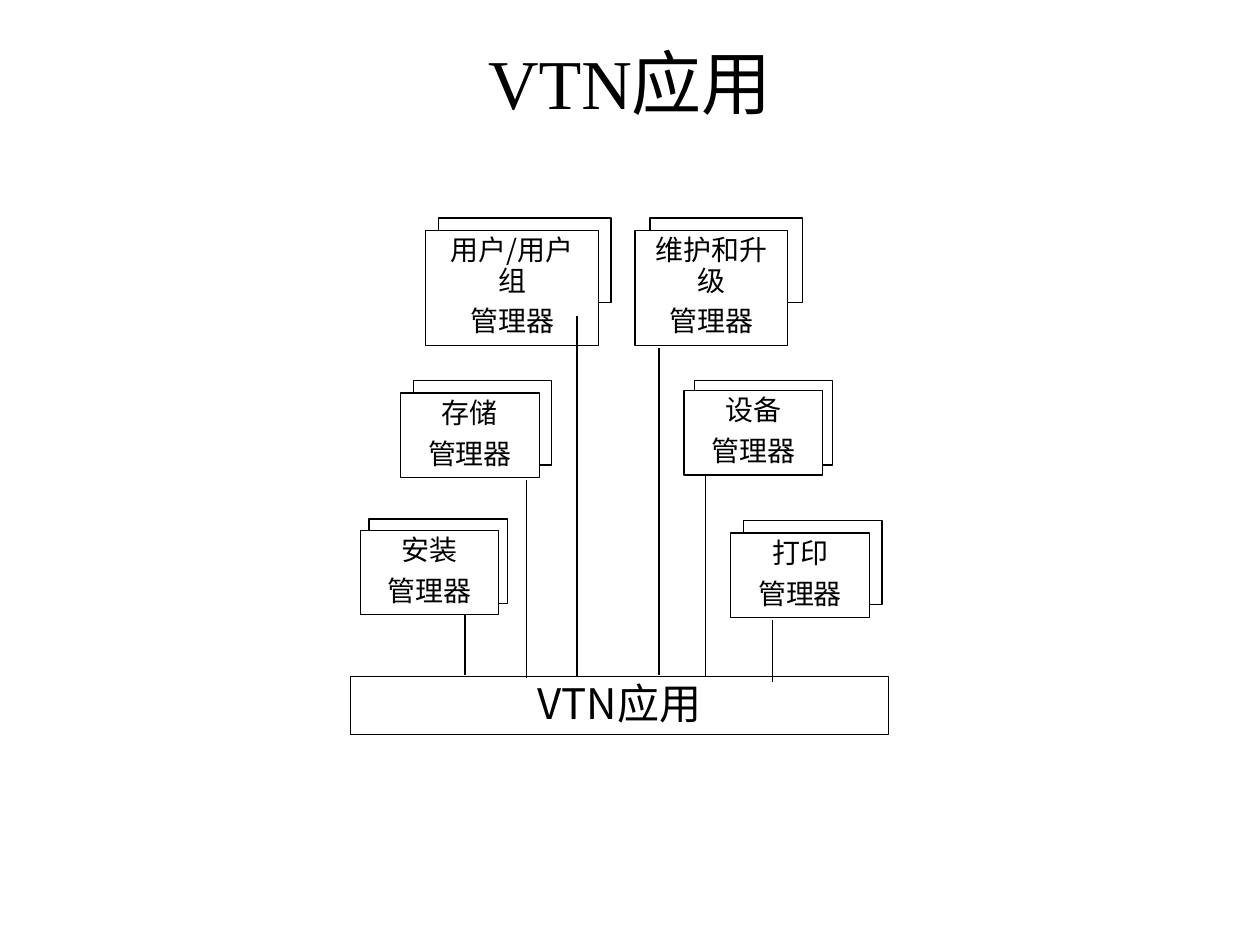
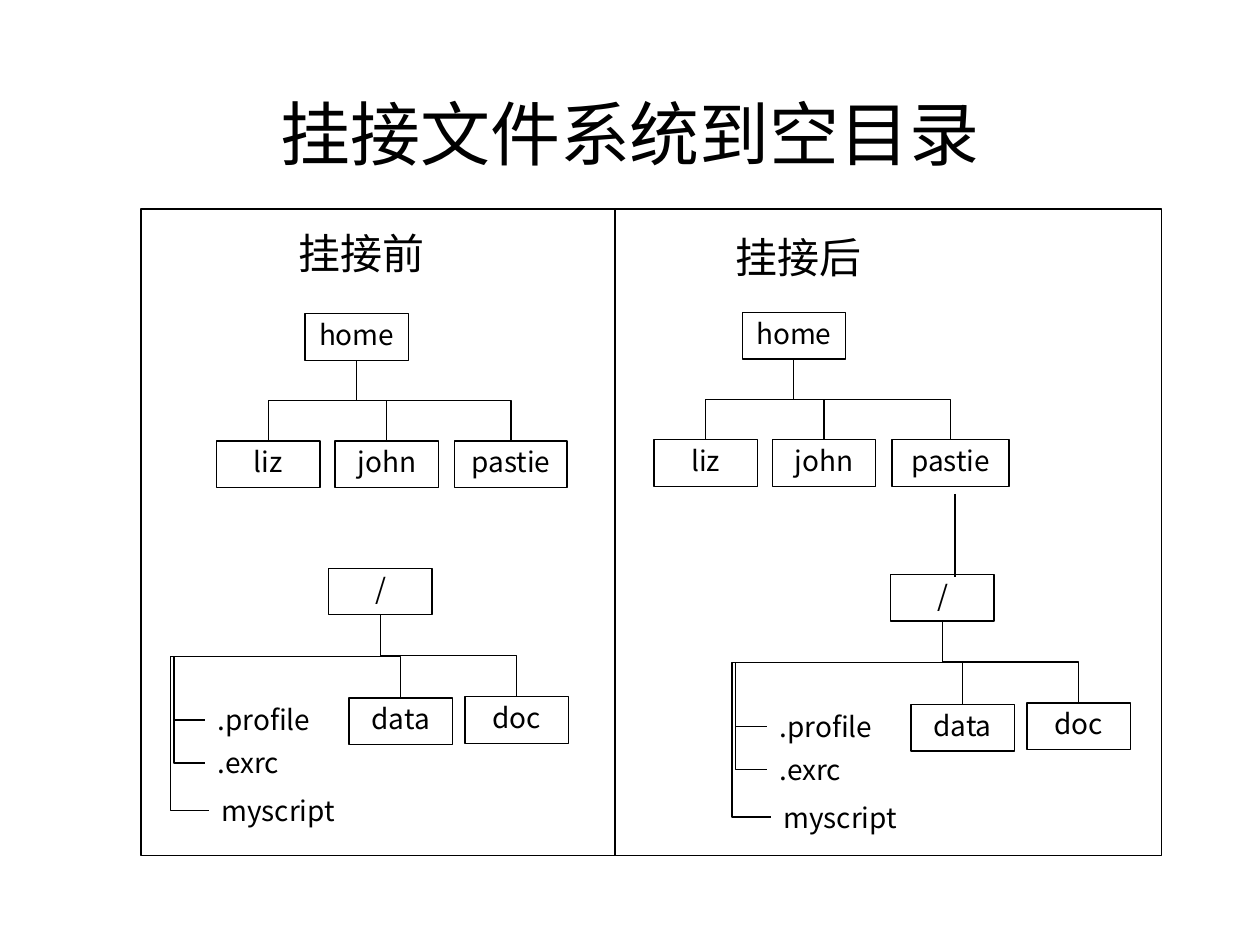
from dataclasses import dataclass

from lxml import etree
from pptx import Presentation
from pptx import util as u
from pptx.dml.color import RGBColor
from pptx.enum import shapes, text
from pptx.oxml.ns import qn

COLORS = {"ink": "000000", "paper": "FFFFFF"}
SANS = "Noto Sans CJK SC"
SERIF = "Times New Roman"
LINE_WIDTH = u.Pt(0.75)
TITLE_ONLY = 5
TOP, LEFT, BOTTOM = 0, 1, 2
NODE_HEIGHT = 0.37
LABEL_SIZE = (1.21, 0.33)
APPLICATIONS = "VTN应用"


@dataclass(frozen=True)
class Manager:
    name: str
    left: float
    top: float
    width: float
    height: float
    sheet_left: float
    sheet_top: float


@dataclass(frozen=True)
class Drop:
    x: float
    top: float
    bottom: float


@dataclass(frozen=True)
class Node:
    name: str
    dx: float
    dy: float
    width: float = 0.82


@dataclass(frozen=True)
class FileLabel:
    name: str
    dx: float
    dy: float
    overhang: float


@dataclass(frozen=True)
class Panel:
    heading: str
    heading_at: tuple[float, float]
    home_at: tuple[float, float]
    root_at: tuple[float, float]
    pastie_width: float


MANAGERS = [
    Manager("用户/用户组", 3.38, 1.83, 1.37, 0.91, 3.48, 1.73),
    Manager("维护和升级", 5.04, 1.83, 1.21, 0.91, 5.16, 1.73),
    Manager("存储", 3.18, 3.12, 1.1, 0.67, 3.28, 3.02),
    Manager("设备", 5.43, 3.1, 1.1, 0.67, 5.51, 3.02),
    Manager("安装", 2.86, 4.21, 1.1, 0.67, 2.93, 4.12),
    Manager("打印", 5.8, 4.23, 1.1, 0.67, 5.9, 4.13),
]
SHEET_HEIGHT = 0.67

DROPS = [
    Drop(3.69, 4.88, 5.36),
    Drop(4.18, 3.81, 5.38),
    Drop(4.58, 2.51, 5.37),
    Drop(5.23, 2.76, 5.36),
    Drop(5.6, 3.77, 5.37),
    Drop(6.13, 4.92, 5.41),
]

DIRECTORIES = [Node("data", 0.16, 1.03), Node("doc", 1.08, 1.02)]
FILES = [
    FileLabel(".profile", -0.98, 1.04, 0.25),
    FileLabel(".exrc", -0.98, 1.38, 0.25),
    FileLabel("myscript", -0.95, 1.76, 0.31),
]

PANELS = [
    Panel("挂接前", (1.98, 1.76), (1.72, 2.49), (2.61, 4.51), 0.89),
    Panel("挂接后", (5.45, 1.79), (5.19, 2.48), (7.07, 4.56), 0.93),
]


def color(name: str) -> RGBColor:
    return RGBColor.from_string(COLORS[name])


def write(shape, content: str, *, size: float = 16, font: str = SANS,
          align=text.PP_ALIGN.CENTER, anchor=text.MSO_ANCHOR.TOP,
          inset_top: float = 0.05, spacing: float | None = None,
          space_before: float = 0) -> None:
    frame = shape.text_frame
    frame.word_wrap = True
    frame.auto_size = text.MSO_AUTO_SIZE.NONE
    frame.vertical_anchor = anchor
    frame.margin_left = frame.margin_right = u.Inches(0.1)
    frame.margin_top = u.Inches(inset_top)
    frame.margin_bottom = u.Inches(0.05)
    for index, line in enumerate(content.split("\n")):
        paragraph = frame.add_paragraph() if index else frame.paragraphs[0]
        paragraph.alignment = align
        paragraph.line_spacing = spacing
        paragraph.space_before = u.Pt(space_before if index else 0)
        run = paragraph.add_run()
        run.text = line
        run.font.size = u.Pt(size)
        run.font.name = font
        run.font.color.rgb = color("ink")
        east_asian = etree.SubElement(run.font._element, qn("a:ea"))
        east_asian.set("typeface", SANS)


def add_title_slide(presentation, title: str, top: float, height: float):
    slide = presentation.slides.add_slide(presentation.slide_layouts[TITLE_ONLY])
    placeholder = slide.shapes.title
    placeholder.left, placeholder.top = u.Inches(0.75), u.Inches(top)
    placeholder.width, placeholder.height = u.Inches(8.5), u.Inches(height)
    write(placeholder, title, size=40, font=SERIF, anchor=text.MSO_ANCHOR.MIDDLE)
    return slide


def add_box(slide, left: float, top: float, width: float, height: float,
            fill: str | None = None):
    shape = slide.shapes.add_shape(
        shapes.MSO_SHAPE.RECTANGLE,
        u.Inches(left), u.Inches(top), u.Inches(width), u.Inches(height))
    shape.shadow.inherit = False
    shape.line.color.rgb = color("ink")
    shape.line.width = LINE_WIDTH
    if fill:
        shape.fill.solid()
        shape.fill.fore_color.rgb = color(fill)
    else:
        shape.fill.background()
    return shape


def add_label(slide, left: float, top: float, width: float, height: float):
    return slide.shapes.add_textbox(
        u.Inches(left), u.Inches(top), u.Inches(width), u.Inches(height))


def style_connector(connector) -> None:
    connector.line.color.rgb = color("ink")
    connector.line.width = LINE_WIDTH
    etree.SubElement(connector.element.spPr, qn("a:effectLst"))


def add_vertical(slide, x: float, top: float, bottom: float) -> None:
    connector = slide.shapes.add_connector(
        shapes.MSO_CONNECTOR.STRAIGHT,
        u.Inches(x), u.Inches(top), u.Inches(x), u.Inches(bottom))
    style_connector(connector)


def add_elbow(slide, parent, child, side: int, overhang: float = 0) -> None:
    connector = slide.shapes.add_connector(shapes.MSO_CONNECTOR.ELBOW, 0, 0, 0, 0)
    connector.begin_connect(parent, BOTTOM)
    connector.end_connect(child, side)
    start_x = parent.left + parent.width // 2
    start_y = parent.top + parent.height
    if side == TOP:
        end_x, end_y = child.left + child.width // 2, child.top
    else:
        end_x, end_y = child.left, child.top + child.height // 2
    span, fall = abs(end_x - start_x), end_y - start_y
    connector.width, connector.height = fall, span
    connector.left = (start_x + end_x - fall) // 2
    connector.top = (start_y + end_y - span) // 2
    goes_right = end_x > start_x
    connector.rotation = 270 if goes_right else 90
    transform = connector.element.spPr.find(qn("a:xfrm"))
    transform.set("flipH", "1" if goes_right else "0")
    transform.set("flipV", "0")
    if side == LEFT:
        geometry = connector.element.spPr.find(qn("a:prstGeom"))
        geometry.set("prst", "bentConnector4")
        adjustments = geometry.find(qn("a:avLst"))
        ratios = (u.Inches(0.33) / fall, 1 + u.Inches(overhang) / span)
        for number, ratio in enumerate(ratios, start=1):
            guide = etree.SubElement(adjustments, qn("a:gd"))
            guide.set("name", f"adj{number}")
            guide.set("fmla", f"val {round(ratio * 100000)}")
    style_connector(connector)


def add_node(slide, node: Node, origin: tuple[float, float]):
    shape = add_box(slide, origin[0] + node.dx, origin[1] + node.dy,
                    node.width, NODE_HEIGHT)
    write(shape, node.name, inset_top=0.03)
    return shape


def add_branch(slide, parent: Node, children: list[Node],
               origin: tuple[float, float]):
    parent_shape = add_node(slide, parent, origin)
    for child in children:
        add_elbow(slide, parent_shape, add_node(slide, child, origin), TOP)
    return parent_shape


def add_panel(slide, panel: Panel) -> None:
    users = [Node("liz", 0, 1.01), Node("john", 0.94, 1.01),
             Node("pastie", 1.89, 1.01, panel.pastie_width)]
    add_branch(slide, Node("home", 0.7, 0), users, panel.home_at)
    root = add_branch(slide, Node("/", 0, 0), DIRECTORIES, panel.root_at)
    for file in FILES:
        label = add_label(slide, panel.root_at[0] + file.dx,
                          panel.root_at[1] + file.dy, *LABEL_SIZE)
        write(label, file.name, align=text.PP_ALIGN.LEFT, inset_top=0.03)
        add_elbow(slide, root, label, LEFT, file.overhang)
    heading = add_label(slide, *panel.heading_at, 1.78, 0.5)
    write(heading, panel.heading, size=24, font=SERIF)


def build_applications(presentation) -> None:
    slide = add_title_slide(presentation, APPLICATIONS, 0.24, 0.82)
    for manager in MANAGERS:
        add_box(slide, manager.sheet_left, manager.sheet_top,
                manager.width, SHEET_HEIGHT, "paper")
        card = add_box(slide, manager.left, manager.top,
                       manager.width, manager.height, "paper")
        write(card, f"{manager.name}\n管理器", spacing=0.9, space_before=6)
    base = add_box(slide, 2.78, 5.37, 4.27, 0.46)
    write(base, APPLICATIONS, size=24, spacing=0.9)
    for drop in DROPS:
        add_vertical(slide, drop.x, drop.top, drop.bottom)


def build_mounting(presentation) -> None:
    slide = add_title_slide(presentation, "挂接文件系统到空目录", 0.67, 0.77)
    for panel in PANELS:
        add_panel(slide, panel)
    add_box(slide, 1.12, 1.66, 8.1, 5.13)
    add_vertical(slide, 4.88, 1.66, 6.79)
    add_vertical(slide, 7.58, 3.92, 4.58)


def main() -> None:
    presentation = Presentation()
    presentation.slide_width = u.Inches(10)
    presentation.slide_height = u.Inches(7.5)
    build_applications(presentation)
    build_mounting(presentation)
    presentation.save("out.pptx")


if __name__ == "__main__":
    main()
